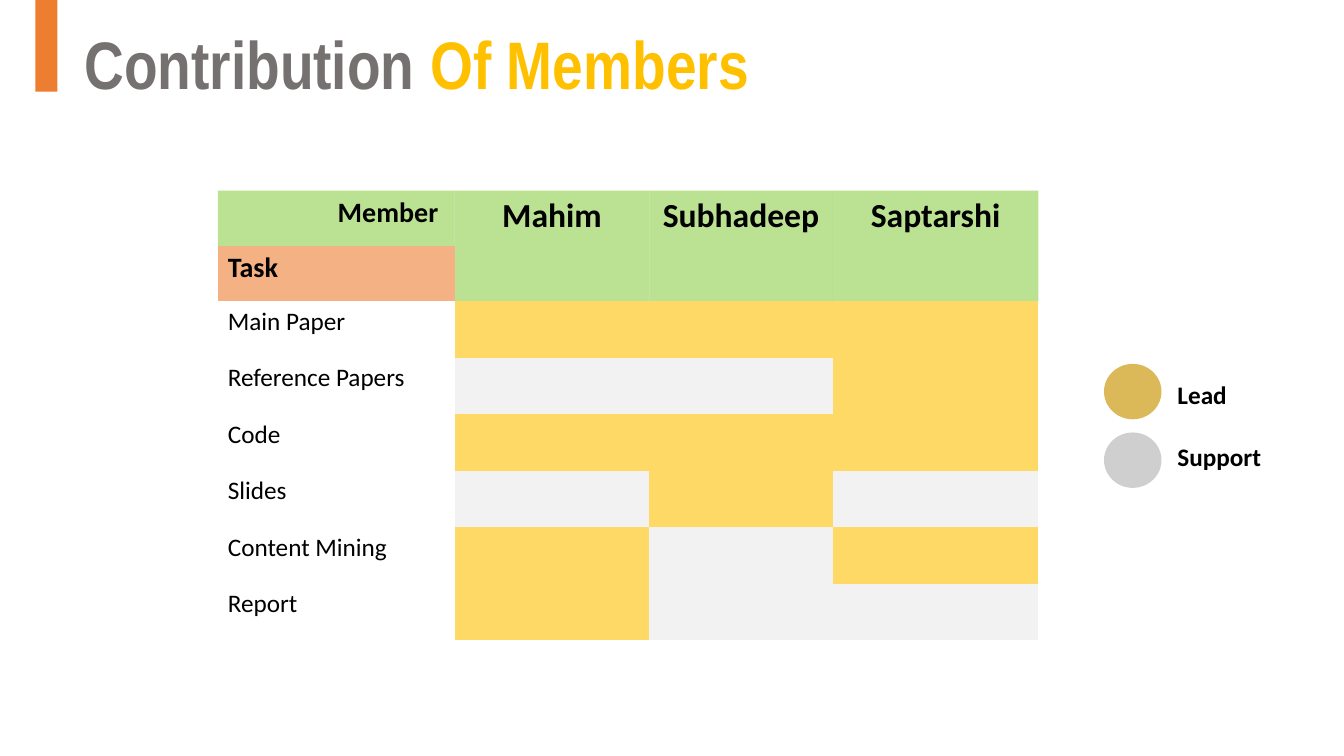
from lxml import etree
from pptx import Presentation
from pptx.dml.color import RGBColor
from pptx.enum.shapes import MSO_SHAPE
from pptx.enum.text import MSO_ANCHOR, PP_ALIGN
from pptx.oxml.ns import qn
from pptx.util import Inches, Pt

RECTANGLE, OVAL = MSO_SHAPE.RECTANGLE, MSO_SHAPE.OVAL
LEFT, CENTER, RIGHT = PP_ALIGN.LEFT, PP_ALIGN.CENTER, PP_ALIGN.RIGHT
TOP, MIDDLE = MSO_ANCHOR.TOP, MSO_ANCHOR.MIDDLE

BLACK = RGBColor(0x00, 0x00, 0x00)
GRAY = RGBColor(0x76, 0x71, 0x71)
GOLD = RGBColor(0xFF, 0xC0, 0x00)
ORANGE = RGBColor(0xED, 0x7D, 0x31)
GREEN = RGBColor(0x92, 0xD0, 0x50)
PEACH = RGBColor(0xF4, 0xB1, 0x83)
LEAD = RGBColor(0xFF, 0xD9, 0x66)
SUPPORT = RGBColor(0xF2, 0xF2, 0xF2)
LEAD_KEY = RGBColor(0xDB, 0xB9, 0x58)
SUPPORT_KEY = RGBColor(0xCF, 0xCF, 0xCF)

HEADER_ALPHA = "62000"
NO_STYLE = "{2D5ABB26-0587-4C30-8999-92F81FD0307C}"
MEMBERS = ["Mahim", "Subhadeep", "Saptarshi"]
# One letter per member: L leads the task, S supports it
TASKS = [
    ("Main Paper", "LLL"),
    ("Reference Papers", "SSL"),
    ("Code", "LLL"),
    ("Slides", "SLS"),
    ("Content Mining", "LSL"),
    ("Report", "LSS"),
]
ROLE_FILLS = {"L": LEAD, "S": SUPPORT}


def write(holder, text, size=18, color=BLACK, bold=True, font="Calibri",
          align=LEFT, anchor=TOP):
    """Append a formatted run to the first paragraph of a box or cell."""
    holder.text_frame.word_wrap = True
    holder.text_frame.vertical_anchor = anchor
    paragraph = holder.text_frame.paragraphs[0]
    paragraph.alignment = align
    run = paragraph.add_run()
    run.text = text
    run.font.name, run.font.size, run.font.bold = font, Pt(size), bold
    run.font.color.rgb = color


def add_block(kind, color, *box):
    block = slide.shapes.add_shape(kind, *map(Inches, box))
    block.shadow.inherit = False
    block.fill.solid()
    block.fill.fore_color.rgb = color
    block.line.fill.background()


prs = Presentation()
prs.slide_width, prs.slide_height = Inches(13.33), Inches(7.5)
slide = prs.slides.add_slide(prs.slide_layouts[6])

# Title
add_block(RECTANGLE, ORANGE, 0.35, 0, 0.22, 0.91)
title = slide.shapes.add_textbox(Inches(0.74), Inches(0.17), Inches(7.31), Inches(0.91))
for words, color in [("Contribution", GRAY), (" Of Members", GOLD)]:
    write(title, words, size=48, color=color, font="Arial Narrow")

# Contribution table
column_widths = [2.35, 1.93, 1.82, 2.04]
row_heights = [0.55] * 2 + [0.56] * len(TASKS)
frame = slide.shapes.add_table(
    len(row_heights), len(column_widths), Inches(2.16), Inches(1.89),
    Inches(sum(column_widths)), Inches(sum(row_heights)))
table = frame.table
table.first_row = table.horz_banding = False
frame._element.find(".//" + qn("a:tableStyleId")).text = NO_STYLE
for column, width in zip(table.columns, column_widths):
    column.width = Inches(width)
for row, height in zip(table.rows, row_heights):
    row.height = Inches(height)

write(table.cell(0, 0), "Member ", size=20, align=RIGHT)
for col, member in enumerate(MEMBERS, start=1):
    table.cell(0, col).merge(table.cell(1, col))
    write(table.cell(0, col), member, size=24, align=CENTER, anchor=MIDDLE)
for col in range(len(column_widths)):
    header = table.cell(0, col)
    header.fill.solid()
    header.fill.fore_color.rgb = GREEN
    green = header._tc.tcPr.find(".//" + qn("a:srgbClr"))
    etree.SubElement(green, qn("a:alpha"), val=HEADER_ALPHA)

task_header = table.cell(1, 0)
write(task_header, "Task", size=20)
task_header.fill.solid()
task_header.fill.fore_color.rgb = PEACH

for row, (task, roles) in enumerate(TASKS, start=2):
    write(table.cell(row, 0), task, bold=False, anchor=MIDDLE)
    table.cell(row, 0).fill.background()
    for col, role in enumerate(roles, start=1):
        share = table.cell(row, col)
        share.fill.solid()
        share.fill.fore_color.rgb = ROLE_FILLS[role]

# Legend
for i, (role, color) in enumerate([("Lead", LEAD_KEY), ("Support", SUPPORT_KEY)]):
    add_block(OVAL, color, 10.95, 3.61 + 0.68 * i, 0.57, 0.55)
    label = slide.shapes.add_textbox(
        Inches(11.58), Inches(3.71 + 0.62 * i), Inches(1.75), Inches(0.4))
    write(label, role)

prs.save("out.pptx")
